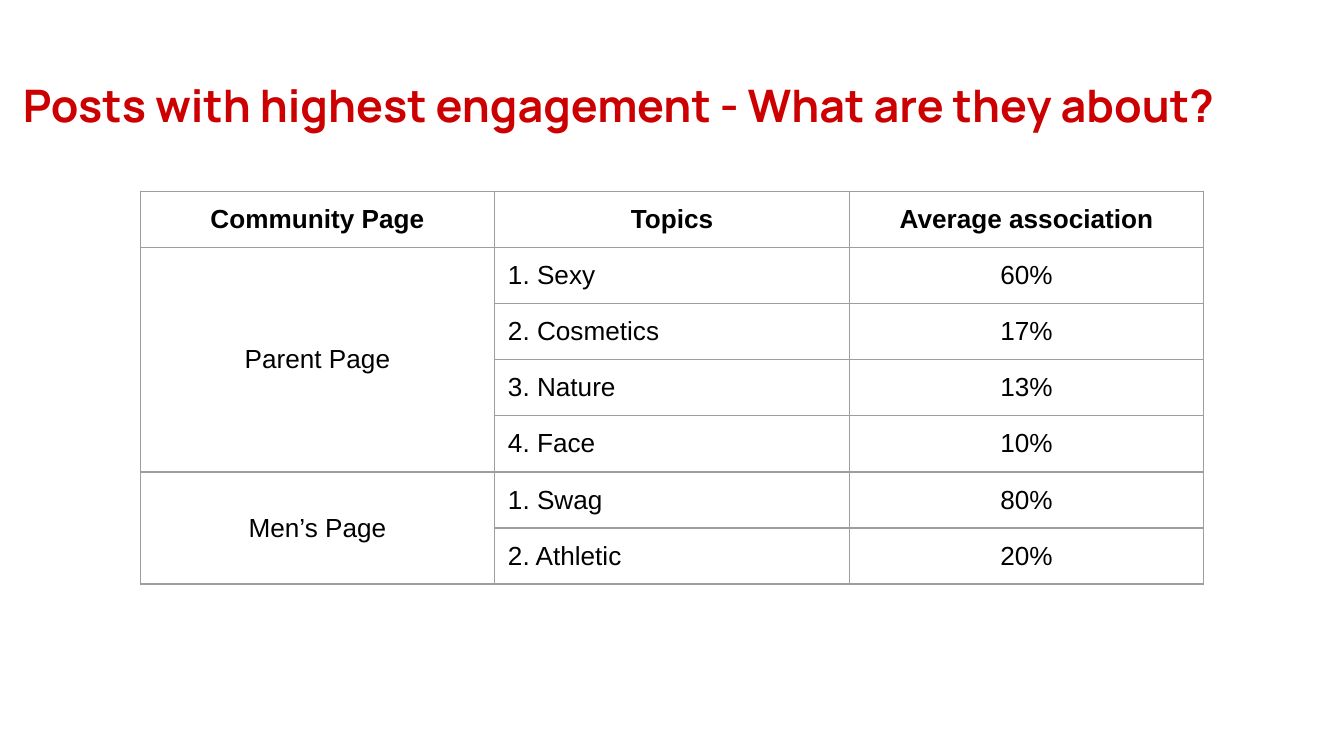
from dataclasses import dataclass

from pptx import Presentation
from pptx import util as u
from pptx.dml.color import RGBColor
from pptx.enum import text
from pptx.oxml import parse_xml
from pptx.oxml.ns import nsdecls


@dataclass(frozen=True)
class Theme:
    title_font: str = "Manrope"
    body_font: str = "Arial"
    title_size: float = 24
    body_size: float = 14
    title_color: str = "CC0000"
    body_color: str = "000000"
    background: str = "FFFFFF"
    border_color: str = "9E9E9E"
    border_width: float = 0.75
    inset: float = 0.25


HEADERS = ["Community Page", "Topics", "Average association"]
PAGES = {
    "Parent Page": [("Sexy", "60%"), ("Cosmetics", "17%"),
                    ("Nature", "13%"), ("Face", "10%")],
    "Men’s Page": [("Swag", "80%"), ("Athletic", "20%")],
}


class SlideBuilder:
    def __init__(self, presentation, theme):
        self.theme = theme
        self.slide = presentation.slides.add_slide(presentation.slide_layouts[5])
        fill = self.slide.background.fill
        fill.solid()
        fill.fore_color.rgb = RGBColor.from_string(theme.background)

    def format_paragraph(self, paragraph, font_name, size, color, bold, alignment):
        paragraph.alignment = alignment
        for run in paragraph.runs:
            run.font.name = font_name
            run.font.size = u.Pt(size)
            run.font.bold = bold
            run.font.color.rgb = RGBColor.from_string(color)

    def set_margins(self, target):
        for side in ("left", "right", "top", "bottom"):
            setattr(target, f"margin_{side}", u.Cm(self.theme.inset))

    def title(self, wording, left, top, width, height):
        shape = self.slide.shapes.title
        shape.left, shape.top = u.Cm(left), u.Cm(top)
        shape.width, shape.height = u.Cm(width), u.Cm(height)
        frame = shape.text_frame
        frame.text = wording
        frame.word_wrap = True
        frame.auto_size = text.MSO_AUTO_SIZE.NONE
        frame.vertical_anchor = text.MSO_ANCHOR.TOP
        self.set_margins(frame)
        paragraph = frame.paragraphs[0]
        paragraph.space_after = u.Pt(16)
        self.format_paragraph(paragraph, self.theme.title_font, self.theme.title_size,
                              self.theme.title_color, True, text.PP_ALIGN.LEFT)

    def style_cell(self, cell):
        """Give the cell its borders, then an empty fill."""
        properties = cell._tc.get_or_add_tcPr()
        for edge in ("lnL", "lnR", "lnT", "lnB"):
            properties.append(parse_xml(
                f'<a:{edge} {nsdecls("a")} w="{u.Pt(self.theme.border_width)}">'
                f'<a:solidFill><a:srgbClr val="{self.theme.border_color}"/></a:solidFill>'
                f'</a:{edge}>'))
        cell.fill.background()
        cell.vertical_anchor = text.MSO_ANCHOR.MIDDLE
        self.set_margins(cell)

    def fill_cell(self, cell, wording, bold=False, alignment=text.PP_ALIGN.CENTER):
        cell.text = wording
        self.format_paragraph(cell.text_frame.paragraphs[0], self.theme.body_font,
                              self.theme.body_size, self.theme.body_color, bold, alignment)

    def topic_table(self, headers, pages, left, top, column_width, row_height):
        """Draw one row per topic, with each page name merged down its topics."""
        row_count = 1 + sum(len(topics) for topics in pages.values())
        table = self.slide.shapes.add_table(
            row_count, len(headers), u.Cm(left), u.Cm(top),
            u.Cm(column_width * len(headers)), u.Cm(row_height * row_count)).table
        table.first_row = table.horz_banding = False
        for column in table.columns:
            column.width = u.Cm(column_width)
        for row in table.rows:
            row.height = u.Cm(row_height)
        for cell in table.iter_cells():
            self.style_cell(cell)

        for index, header in enumerate(headers):
            self.fill_cell(table.cell(0, index), header, bold=True)
        first = 1
        for page, topics in pages.items():
            page_cell = table.cell(first, 0)
            page_cell.merge(table.cell(first + len(topics) - 1, 0))
            self.fill_cell(page_cell, page)
            for rank, (topic, share) in enumerate(topics, start=1):
                row = first + rank - 1
                self.fill_cell(table.cell(row, 1), f"{rank}. {topic}",
                               alignment=text.PP_ALIGN.LEFT)
                self.fill_cell(table.cell(row, 2), share)
            first += len(topics)


def main():
    presentation = Presentation()
    presentation.slide_width, presentation.slide_height = u.Cm(25.4), u.Cm(14.29)
    builder = SlideBuilder(presentation, Theme())
    builder.title("Posts with highest engagement - What are they about?",
                  left=0.18, top=1.22, width=24.26, height=1.96)
    builder.topic_table(HEADERS, PAGES, left=2.65, top=3.62,
                        column_width=6.7, row_height=1.06)
    presentation.save("out.pptx")


if __name__ == "__main__":
    main()
